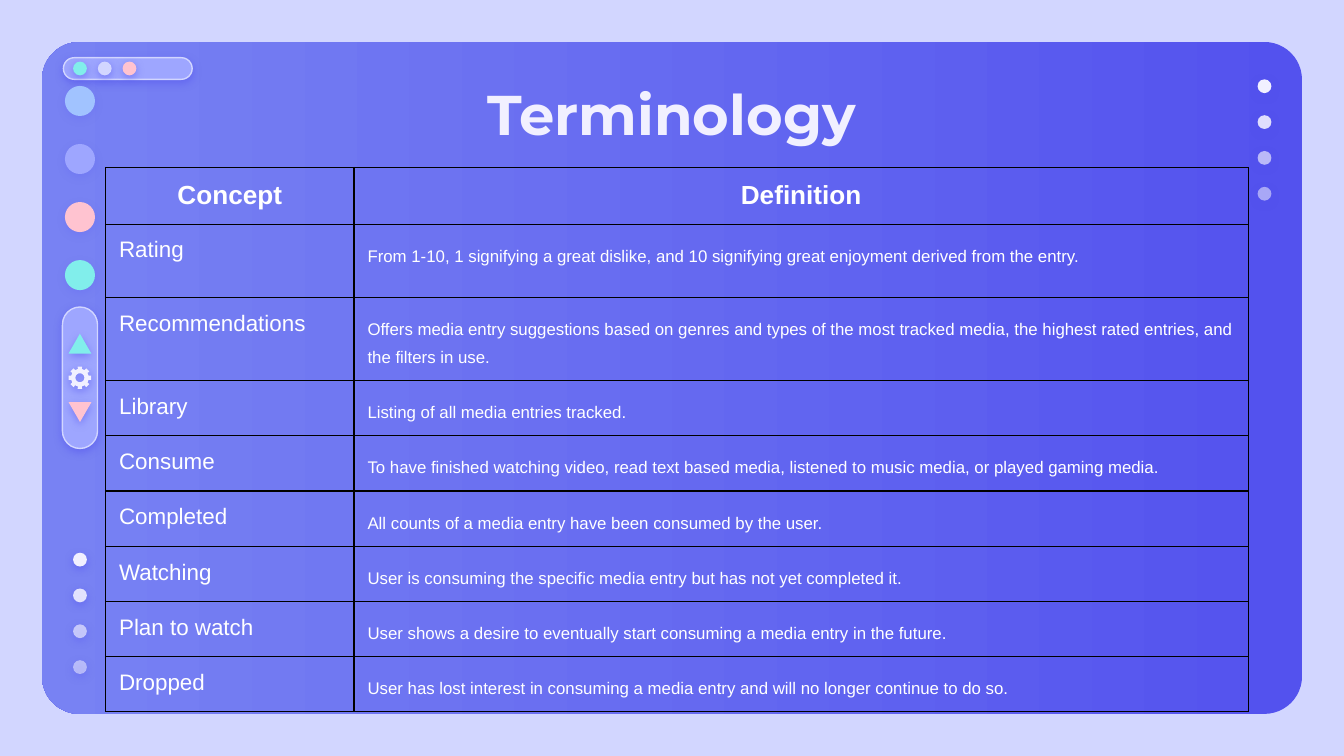
from dataclasses import dataclass
from math import cos, radians, sin
from typing import Optional

from lxml.etree import SubElement
from pptx import Presentation
from pptx.dml.color import RGBColor
from pptx.enum.shapes import MSO_SHAPE as Preset
from pptx.enum.text import MSO_ANCHOR as Anchor, MSO_AUTO_SIZE as AutoSize, PP_ALIGN as Align
from pptx.oxml.ns import qn
from pptx.util import Pt

LAVENDER = RGBColor(0xD2, 0xD6, 0xFF)
INDIGO = RGBColor(0x53, 0x52, 0xEE)
PERIWINKLE = RGBColor(0x78, 0x82, 0xF3)
LILAC = RGBColor(0x9E, 0xA6, 0xFF)
SKY = RGBColor(0xA1, 0xC3, 0xFF)
PINK = RGBColor(0xFF, 0xC3, 0xD0)
AQUA = RGBColor(0x81, 0xEE, 0xEB)
PALE = RGBColor(0xF1, 0xF0, 0xFF)
WHITE = RGBColor(0xFF, 0xFF, 0xFF)
BLACK = RGBColor(0x00, 0x00, 0x00)

RAIL_X = 42.85  # centre of the icons down the left side
FADE = (100, 89, 66, 54)


@dataclass
class Ornament:
    """A preset shape placed by its centre, in points."""
    x: float
    y: float
    width: float
    height: float
    color: RGBColor
    preset: Preset = Preset.OVAL
    opacity: int = 100
    shadow: int = 50
    rotation: int = 0
    outline: Optional[RGBColor] = None


@dataclass
class Term:
    concept: str
    definition: str
    height: float = 29.5


TERMS = [
    Term("Rating", "From 1-10, 1 signifying a great dislike, and 10 signifying great "
         "enjoyment derived from the entry.", 39.2),
    Term("Recommendations", "Offers media entry suggestions based on genres and types of the most "
         "tracked media, the highest rated entries, and the filters in use.", 44.6),
    Term("Library", "Listing of all media entries tracked."),
    Term("Consume", "To have finished watching video, read text based media, listened to music "
         "media, or played gaming media."),
    Term("Completed", "All counts of a media entry have been consumed by the user."),
    Term("Watching", "User is consuming the specific media entry but has not yet completed it."),
    Term("Plan to watch", "User shows a desire to eventually start consuming a media entry "
         "in the future."),
    Term("Dropped", "User has lost interest in consuming a media entry and will no longer "
         "continue to do so."),
]


def add_color(parent, color: RGBColor, opacity: int = 100) -> None:
    element = SubElement(parent, qn("a:srgbClr"), val=str(color))
    if opacity < 100:
        SubElement(element, qn("a:alpha"), val=str(opacity * 1000))


def style_shape(shape, color: RGBColor, shadow: int, opacity: int = 100,
                outline: Optional[RGBColor] = None) -> None:
    shape.fill.solid()
    shape.fill.fore_color.rgb = color
    if opacity < 100:
        color_element = shape._element.spPr.find(qn("a:solidFill"))[0]
        SubElement(color_element, qn("a:alpha"), val=str(opacity * 1000))
    if outline is None:
        shape.line.fill.background()
    else:
        shape.line.color.rgb = outline
        shape.line.width = Pt(0.75)
    shape.shadow.inherit = False
    effects = shape._element.spPr.find(qn("a:effectLst"))
    outer = SubElement(effects, qn("a:outerShdw"), blurRad=str(Pt(4.5)), dist=str(Pt(1.5)),
                       dir="5400000", algn="bl", rotWithShape="0")
    add_color(outer, INDIGO, shadow)


def draw_ornament(slide, item: Ornament) -> None:
    shape = slide.shapes.add_shape(
        item.preset, Pt(item.x - item.width / 2), Pt(item.y - item.height / 2),
        Pt(item.width), Pt(item.height))
    if item.preset == Preset.ROUNDED_RECTANGLE:
        shape.adjustments[0] = 0.5
    shape.rotation = item.rotation
    style_shape(shape, item.color, item.shadow, item.opacity, item.outline)


def draw_panel(slide) -> None:
    panel = slide.shapes.add_shape(Preset.ROUNDED_RECTANGLE, Pt(22.5), Pt(22.5), Pt(675), Pt(360))
    panel.adjustments[0] = 0.056
    panel.fill.gradient()
    panel.fill.gradient_angle = 180
    for stop, color in zip(panel.fill.gradient_stops, (INDIGO, PERIWINKLE)):
        stop.color.rgb = color
    panel.line.fill.background()
    panel.shadow.inherit = False


def draw_gear(slide, x: float, y: float) -> None:
    def polar(radius: float, degrees: float) -> tuple[int, int]:
        angle = radians(degrees)
        return Pt(x + radius * cos(angle)), Pt(y + radius * sin(angle))

    tooth = ((4.8, -13), (6.1, -11), (6.1, 11), (4.8, 13))
    rim = [polar(radius, 45 * index + offset) for index in range(8) for radius, offset in tooth]
    hole = [polar(2.4, -15 * step) for step in range(24)]
    builder = slide.shapes.build_freeform(*rim[0], scale=1.0)
    builder.add_line_segments(rim[1:], close=True)
    builder.move_to(*hole[0])
    builder.add_line_segments(hole[1:], close=True)
    style_shape(builder.convert_to_shape(), PALE, 52)


def write_run(paragraph, text: str, size: float, font: str, color: RGBColor, bold: bool) -> None:
    run = paragraph.add_run()
    run.text = text
    run.font.size = Pt(size)
    run.font.name = font
    run.font.bold = bold
    run.font.color.rgb = color


def set_insets(target) -> None:
    target.margin_left = target.margin_right = Pt(7.2)
    target.margin_top = target.margin_bottom = Pt(7.2)


def write_title(slide) -> None:
    title = slide.shapes.title
    slide.shapes._spTree.append(title._element)  # in front of the panel
    title.left, title.top, title.width, title.height = Pt(56.7), Pt(35.5), Pt(606.6), Pt(45)
    frame = title.text_frame
    frame.auto_size = AutoSize.NONE
    frame.vertical_anchor = Anchor.TOP
    set_insets(frame)
    frame.paragraphs[0].alignment = Align.CENTER
    write_run(frame.paragraphs[0], "Terminology", 30, "Montserrat", PALE, True)


def fill_cell(cell, text: str, size: float, header: bool = False, spacing: float = 1.0) -> None:
    set_insets(cell)
    cell.vertical_anchor = Anchor.TOP
    properties = cell._tc.get_or_add_tcPr()
    for side in ("lnL", "lnR", "lnT", "lnB"):
        border = SubElement(properties, qn(f"a:{side}"), w=str(Pt(0.75)))
        add_color(SubElement(border, qn("a:solidFill")), BLACK)
    cell.fill.background()
    paragraph = cell.text_frame.paragraphs[0]
    paragraph.alignment = Align.CENTER if header else Align.LEFT
    paragraph.line_spacing = spacing
    write_run(paragraph, text, size, "Arial", WHITE, header)


def draw_table(slide) -> None:
    heights = [30.4] + [term.height for term in TERMS]
    widths = (133.1, 479.1)
    table = slide.shapes.add_table(len(heights), 2, Pt(56.6), Pt(89.7),
                                   Pt(sum(widths)), Pt(sum(heights))).table
    table.first_row = table.horz_banding = False
    for column, width in zip(table.columns, widths):
        column.width = Pt(width)
    for row, height in zip(table.rows, heights):
        row.height = Pt(height)
    for index, heading in enumerate(("Concept", "Definition")):
        fill_cell(table.cell(0, index), heading, 14, header=True)
    for index, term in enumerate(TERMS, start=1):
        fill_cell(table.cell(index, 0), term.concept, 12)
        fill_cell(table.cell(index, 1), term.definition, 9, spacing=1.5)


def main() -> None:
    presentation = Presentation()
    presentation.slide_width, presentation.slide_height = Pt(720), Pt(405)
    slide = presentation.slides.add_slide(presentation.slide_layouts[5])
    slide.background.fill.solid()
    slide.background.fill.fore_color.rgb = LAVENDER

    pill = Preset.ROUNDED_RECTANGLE
    triangle = Preset.ISOSCELES_TRIANGLE
    ornaments = [Ornament(68.5, 36.7, 69, 11.6, LILAC, pill, outline=LAVENDER)]
    ornaments += [Ornament(RAIL_X + 13.25 * i, 36.7, 7.4, 7.4, color)
                  for i, color in enumerate((AQUA, LAVENDER, PINK))]
    ornaments += [Ornament(x, top + 19.2 * i, 7.4, 7.4, PALE, opacity=opacity)
                  for x, top in ((677.4, 46.2), (RAIL_X, 299.8))
                  for i, opacity in enumerate(FADE)]
    ornaments += [Ornament(RAIL_X, 54.1 + 31.1 * i, 16.1, 16.1, color, shadow=16)
                  for i, color in enumerate((SKY, LILAC, PINK, AQUA))]
    ornaments += [
        Ornament(RAIL_X, 202.4, 18.8, 75.8, LILAC, pill, outline=LAVENDER),
        Ornament(RAIL_X, 184.1, 12.2, 10.6, AQUA, triangle),
        Ornament(RAIL_X, 220.8, 12.2, 10.6, PINK, triangle, rotation=180),
    ]

    draw_panel(slide)
    for item in ornaments:
        draw_ornament(slide, item)
    draw_gear(slide, RAIL_X, 202.4)
    write_title(slide)
    draw_table(slide)
    presentation.save("out.pptx")


if __name__ == "__main__":
    main()
